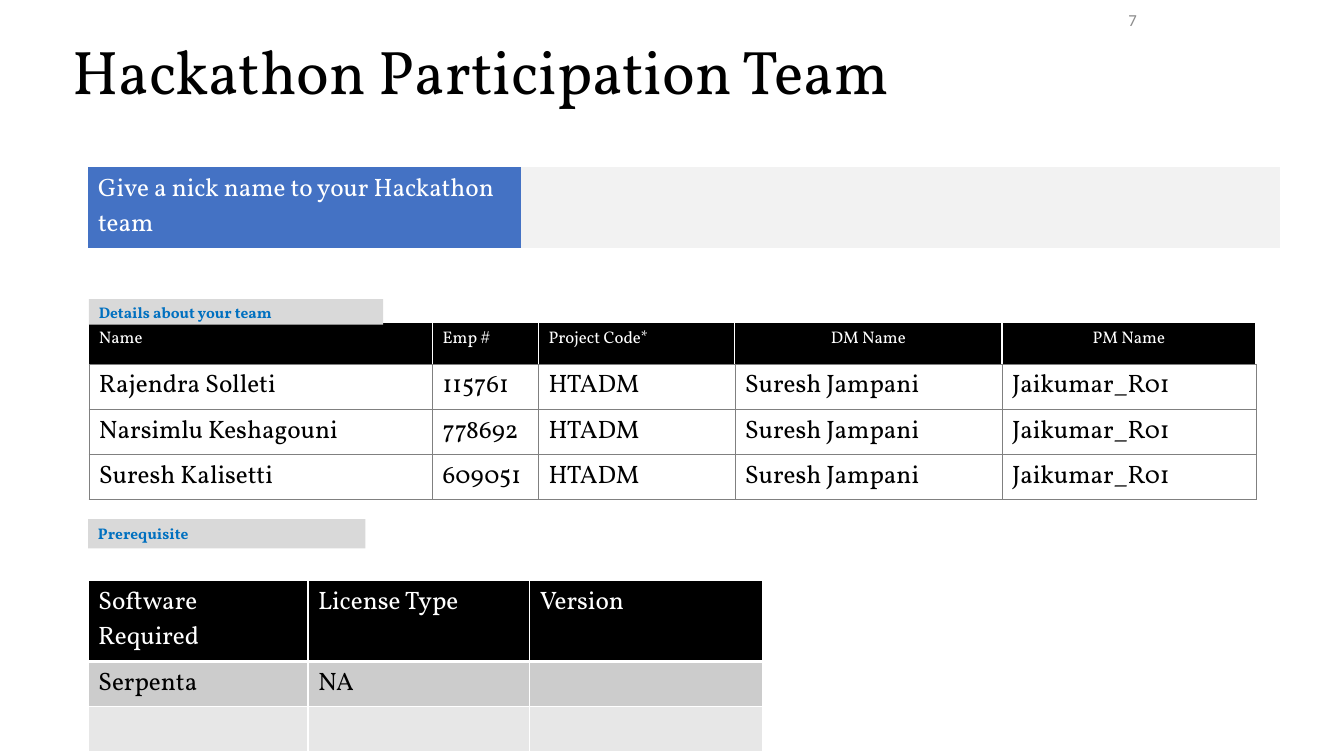
from pptx import Presentation
from pptx.dml.color import RGBColor
from pptx.enum import shapes, text
from pptx.oxml import ns
from pptx.util import Cm, Pt
from lxml import etree

BLACK = RGBColor(0x00, 0x00, 0x00)
WHITE = RGBColor(0xFF, 0xFF, 0xFF)
BLUE = RGBColor(0x44, 0x72, 0xC4)
LABEL_BLUE = RGBColor(0x00, 0x70, 0xC0)
PALE = RGBColor(0xF2, 0xF2, 0xF2)
LABEL_GRAY = RGBColor(0xD9, 0xD9, 0xD9)
BAND_DARK = RGBColor(0xCC, 0xCC, 0xCC)
BAND_LIGHT = RGBColor(0xE7, 0xE7, 0xE7)
GRID = RGBColor(0x80, 0x80, 0x80)
NUMBER_GRAY = RGBColor(0x8C, 0x8C, 0x8C)

LEFT, CENTER, RIGHT = text.PP_ALIGN.LEFT, text.PP_ALIGN.CENTER, text.PP_ALIGN.RIGHT

TEAM_HEADS = ["Name", "Emp #", "Project Code*", "DM Name", "PM Name"]
TEAM = [("Rajendra Solleti", "115761"), ("Narsimlu Keshagouni", "778692"),
        ("Suresh Kalisetti", "609051")]
SHARED = ["HTADM", "Suresh Jampani", "Jaikumar_R01"]


def write(tf, words, size=18, color=BLACK, font="Vollkorn", bold=False,
          align=LEFT, spacing=None):
    p = tf.paragraphs[0]
    p.alignment = align
    p.line_spacing = spacing
    r = p.add_run()
    r.text = words
    r.font.name, r.font.size, r.font.bold = font, Pt(size), bold
    r.font.color.rgb = color


def add_text(s, box, words, margin=None, **fmt):
    tf = s.shapes.add_textbox(*map(Cm, box)).text_frame
    tf.word_wrap = True
    tf.vertical_anchor = text.MSO_ANCHOR.MIDDLE
    if margin is not None:
        tf.margin_left = tf.margin_right = tf.margin_top = tf.margin_bottom = Cm(margin)
    write(tf, words, **fmt)


def add_label(s, box, words):
    sp = s.shapes.add_shape(shapes.MSO_SHAPE.RECTANGLE, *map(Cm, box))
    sp.shadow.inherit = False
    sp.fill.solid()
    sp.fill.fore_color.rgb = LABEL_GRAY
    sp.line.fill.background()
    sp.text_frame.vertical_anchor = text.MSO_ANCHOR.MIDDLE
    write(sp.text_frame, words, size=11, color=LABEL_BLUE, bold=True)


def set_borders(cell, borders):
    tcPr = cell._tc.get_or_add_tcPr()
    for side, border in zip("LRTB", borders):
        ln = etree.SubElement(tcPr, ns.qn("a:ln" + side))
        if border is None:
            etree.SubElement(ln, ns.qn("a:noFill"))
            continue
        color, width = border
        ln.set("w", str(Pt(width)))
        fill = etree.SubElement(ln, ns.qn("a:solidFill"))
        etree.SubElement(fill, ns.qn("a:srgbClr")).set("val", str(color))


def fill_cell(cell, words, fill, borders, **fmt):
    set_borders(cell, borders)
    cell.fill.solid()
    cell.fill.fore_color.rgb = fill
    if words:
        write(cell.text_frame, words, **fmt)


def add_grid(s, left, top, widths, heights):
    frame = s.shapes.add_table(len(heights), len(widths), Cm(left), Cm(top),
                               Cm(sum(widths)), Cm(sum(heights)))
    table = frame.table
    table.first_row = table.horz_banding = False
    for col, width in zip(table.columns, widths):
        col.width = Cm(width)
    for row, height in zip(table.rows, heights):
        row.height = Cm(height)
    return table


def add_nickname(s):
    table = add_grid(s, 2.22, 4.22, [10.9, 19.15], [2.04])
    fill_cell(table.cell(0, 0), "Give a nick name to your Hackathon team", BLUE,
              [None] * 4, color=WHITE)
    fill_cell(table.cell(0, 1), "", PALE, [None] * 4)


def add_team(s):
    table = add_grid(s, 2.24, 8.13, [8.66, 2.67, 4.95, 6.73, 6.4], [1.04] + [1.14] * 3)
    thin, white = (GRID, 0.25), (WHITE, 1)
    for c, head in enumerate(TEAM_HEADS):
        fill_cell(table.cell(0, c), head, BLACK, [white] * 3 + [thin], size=12,
                  color=WHITE, align=CENTER if c > 2 else LEFT)
    for r, member in enumerate(TEAM, 1):
        for c, words in enumerate([*member, *SHARED]):
            fill_cell(table.cell(r, c), words, WHITE, [thin] * 4)


def add_software(s):
    table = add_grid(s, 2.22, 14.63, [5.54, 5.59, 5.87], [2.04, 1.14, 1.14])
    thin, thick = (WHITE, 1), (WHITE, 3)
    rows = [
        (["Software Required", "License Type", "Version"], BLACK, WHITE, thin, thick),
        (["Serpenta", "NA", ""], BAND_DARK, BLACK, thick, thin),
        (["", "", ""], BAND_LIGHT, BLACK, thin, thin),
    ]
    for r, (words, fill, color, above, below) in enumerate(rows):
        for c, word in enumerate(words):
            fill_cell(table.cell(r, c), word, fill, [thin, thin, above, below], color=color)


def main():
    prs = Presentation()
    prs.slide_width, prs.slide_height = Cm(33.87), Cm(19.05)
    s = prs.slides.add_slide(prs.slide_layouts[6])
    add_text(s, (1.57, 0.71, 29.21, 2.36), "Hackathon Participation Team",
             size=44, spacing=0.9)
    add_text(s, (28.19, 0.23, 0.46, 0.53), "7", margin=0, size=12, font="Calibri",
             color=NUMBER_GRAY, align=RIGHT)
    add_nickname(s)
    add_team(s)
    add_label(s, (2.24, 7.54, 7.42, 0.64), "Details about your team")
    add_software(s)
    add_label(s, (2.22, 13.08, 6.99, 0.74), "Prerequisite")
    prs.save("out.pptx")


if __name__ == "__main__":
    main()
